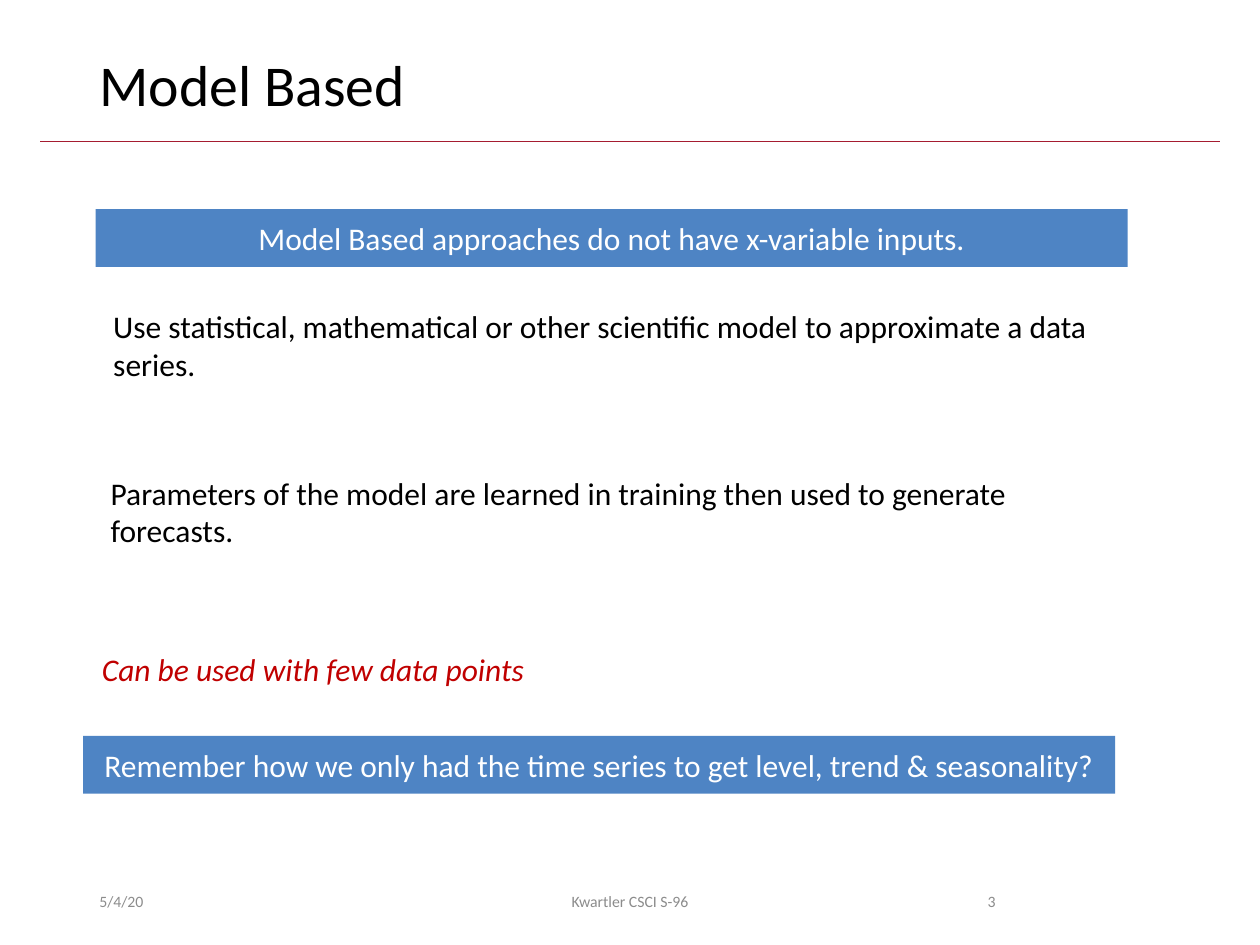
import pptx
import pptx.util
import pptx.dml.color
import pptx.enum.shapes
import pptx.enum.text
import pptx.oxml.ns
import lxml.etree

Inches = pptx.util.Inches
ALIGN = pptx.enum.text.PP_ALIGN
ANCHOR = pptx.enum.text.MSO_ANCHOR
BLACK, WHITE, GREY = "000000", "FFFFFF", "8C8C8C"
BLUE, RED, CRIMSON = "4E84C4", "C00000", "A51C30"


def color(code):
    return pptx.dml.color.RGBColor.from_string(code)


def write(shape, text, size, code, align=ALIGN.LEFT, anchor=ANCHOR.TOP):
    frame = shape.text_frame
    frame.word_wrap = True
    frame.vertical_anchor = anchor
    para = frame.paragraphs[0]
    para.text = text
    para.alignment = align
    para.font.name = "Calibri"
    para.font.size = pptx.util.Pt(size)
    para.font.color.rgb = color(code)
    return para


def add_text(slide, box, *args, **style):
    shape = slide.shapes.add_textbox(*map(Inches, box))
    return write(shape, *args, **style)


def add_head(slide, box, text):
    left, top, width, height = box
    para = add_text(slide, (left + 0.37, top, width - 0.74, 0.65), text, 33, BLACK)
    para.line_spacing = 0.9
    base = Inches(top + height)
    rule = slide.shapes.add_connector(
        pptx.enum.shapes.MSO_CONNECTOR.STRAIGHT,
        Inches(left), base, Inches(left + width), base)
    rule.line.color.rgb = color(CRIMSON)
    rule.line.width = pptx.util.Pt(0.5)
    lxml.etree.SubElement(rule._element.spPr, pptx.oxml.ns.qn("a:effectLst"))


def add_banner(slide, box, text):
    shape = slide.shapes.add_shape(
        pptx.enum.shapes.MSO_SHAPE.RECTANGLE, *map(Inches, box))
    shape.shadow.inherit = False
    shape.fill.solid()
    shape.fill.fore_color.rgb = color(BLUE)
    shape.line.fill.background()
    write(shape, text, 18, WHITE, ALIGN.CENTER, ANCHOR.MIDDLE)


def add_body(slide, box):
    left, top, width, height = box
    add_banner(slide, (left + 0.1, top, width, 0.46),
               "Model Based approaches do not have x-variable inputs.")
    add_text(slide, (left + 0.14, top + 0.73, 8.02, 0.71),
             "Use statistical, mathematical or other scientific model "
             "to approximate a data series.", 18, BLACK)
    add_text(slide, (left + 0.12, top + 2.05, 7.88, 0.71),
             "Parameters of the model are learned in training "
             "then used to generate forecasts.", 18, BLACK)
    note = add_text(slide, (left + 0.05, top + 3.45, 7.88, 0.4),
                    "Can be used with few data points", 18, RED)
    note.font.italic = True
    add_banner(slide, (left, top + height - 0.46, width, 0.46),
               "Remember how we only had the time series "
               "to get level, trend & seasonality?")


def add_foot(slide, box):
    left, top, width, height = box
    parts = [
        (0, 2.25, "5/4/20", ALIGN.LEFT),
        (2.62, 3.38, "Kwartler CSCI S-96", ALIGN.CENTER),
        (width - 0.94, 0.94, "3", ALIGN.RIGHT),
    ]
    for shift, wide, text, align in parts:
        add_text(slide, (left + shift, top, wide, height), text, 9, GREY,
                 align=align, anchor=ANCHOR.MIDDLE)


def main():
    deck = pptx.Presentation()
    deck.slide_width, deck.slide_height = Inches(10), Inches(7.5)
    slide = deck.slides.add_slide(deck.slide_layouts[6])
    add_head(slide, (0.32, 0.4, 9.36, 0.72), "Model Based")
    add_body(slide, (0.66, 1.66, 8.19, 4.64))
    add_foot(slide, (0.69, 6.95, 7.31, 0.4))
    deck.save("out.pptx")


if __name__ == "__main__":
    main()
